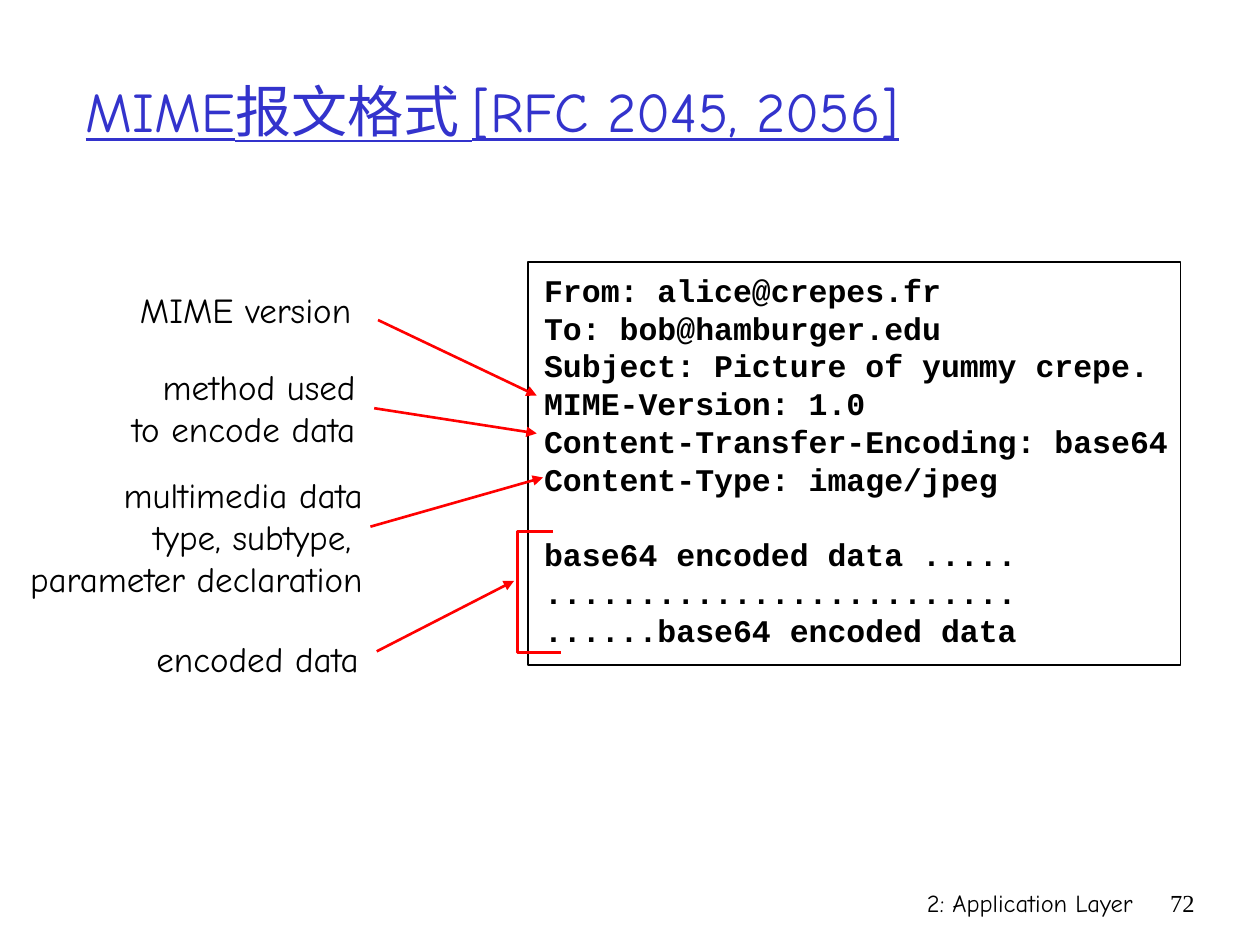
"""Builds the slide on the MIME message format."""
from lxml.etree import SubElement
from pptx import Presentation
from pptx.dml.color import RGBColor
from pptx.enum.shapes import MSO_CONNECTOR, MSO_SHAPE
from pptx.enum.text import MSO_ANCHOR, PP_ALIGN
from pptx.oxml.ns import qn
from pptx.util import Inches, Pt

COLORS = {"title": "3333CC", "text": "000000", "mark": "FF0000"}
BODY_FONT = "Comic Neue"


def format_text(tf, font, size, color="text", align=PP_ALIGN.LEFT, bold=False):
    for p in tf.paragraphs:
        p.alignment = align
        for r in p.runs:
            r.font.name = font
            r.font.size = Pt(size)
            r.font.bold = bold
            r.font.color.rgb = RGBColor.from_string(COLORS[color])


def add_text(box, text, font, size, align=PP_ALIGN.LEFT, bold=False, wrap=True, pitch=None):
    tf = slide.shapes.add_textbox(*map(Inches, box)).text_frame
    tf.text = text
    tf.word_wrap = wrap
    format_text(tf, font, size, align=align, bold=bold)
    for p in tf.paragraphs:
        p.line_spacing = pitch
    return tf


prs = Presentation()
prs.slide_width, prs.slide_height = Inches(10), Inches(7.5)
slide = prs.slides.add_slide(prs.slide_layouts[5])

title = slide.shapes.title
title.left, title.top, title.width, title.height = map(Inches, (0.58, 0.25, 9.17, 1.25))
tf = title.text_frame
tf.text = "MIME报文格式 [RFC 2045, 2056]"
tf.vertical_anchor = MSO_ANCHOR.MIDDLE
format_text(tf, BODY_FONT, 32, "title")
tf.paragraphs[0].runs[0].font.underline = True

add_text((5.92, 7, 3.17, 0.5), "2: Application Layer", BODY_FONT, 14, PP_ALIGN.RIGHT)
add_text((9.08, 7, 0.5, 0.5), "72", "Times New Roman", 14, PP_ALIGN.RIGHT)

header = [
    "From: alice@crepes.fr",
    "To: bob@hamburger.edu",
    "Subject: Picture of yummy crepe.",
    "MIME-Version: 1.0",
    "Content-Transfer-Encoding: base64",
    "Content-Type: image/jpeg",
]
body = [
    "base64 encoded data .....",
    ".........................",
    "......base64 encoded data",
]
message = add_text((4.22, 2.1, 5.44, 3.4), "\n".join(header + body),
                   "Courier New", 18, bold=True, pitch=Pt(21.6))
message.paragraphs[len(header)].space_before = Pt(21.6)

frame = slide.shapes.add_shape(MSO_SHAPE.RECTANGLE, *map(Inches, (4.19, 2.08, 5.18, 3.2)))
frame.shadow.inherit = False
frame.fill.background()
frame.line.color.rgb = RGBColor.from_string(COLORS["text"])
frame.line.width = Pt(1)

labels = [
    ((0.12, 3.71, 2.86, 1.1), "multimedia data\ntype, subtype, \nparameter declaration", PP_ALIGN.RIGHT),
    ((0.93, 2.85, 1.99, 0.77), "method used\nto encode data", PP_ALIGN.RIGHT),
    ((1.01, 2.24, 1.88, 0.44), "MIME version", PP_ALIGN.CENTER),
    ((1.14, 5.01, 1.81, 0.44), "encoded data", PP_ALIGN.CENTER),
]
for box, text, align in labels:
    add_text(box, text, BODY_FONT, 20, align, wrap=False, pitch=Pt(24))

arrows = [
    (3, 2.54, 4.26, 3.14),
    (2.97, 3.24, 4.26, 3.44),
    (2.94, 4.18, 4.31, 3.79),
    (2.99, 5.17, 4.08, 4.61),
]
for ends in arrows:
    arrow = slide.shapes.add_connector(MSO_CONNECTOR.STRAIGHT, *map(Inches, ends))
    arrow.line.color.rgb = RGBColor.from_string(COLORS["mark"])
    arrow.line.width = Pt(1.5)
    SubElement(arrow.line._get_or_add_ln(), qn("a:tailEnd"), type="triangle")
    SubElement(arrow._element.spPr, qn("a:effectLst"))

points = [(Inches(x), Inches(y)) for x, y in [(4.39, 4.22), (4.11, 4.22), (4.11, 5.18), (4.45, 5.18)]]
builder = slide.shapes.build_freeform(*points[0])
builder.add_line_segments(points[1:], close=False)
bracket = builder.convert_to_shape()
bracket.shadow.inherit = False
bracket.fill.background()
bracket.line.color.rgb = RGBColor.from_string(COLORS["mark"])
bracket.line.width = Pt(1.5)

prs.save("out.pptx")
